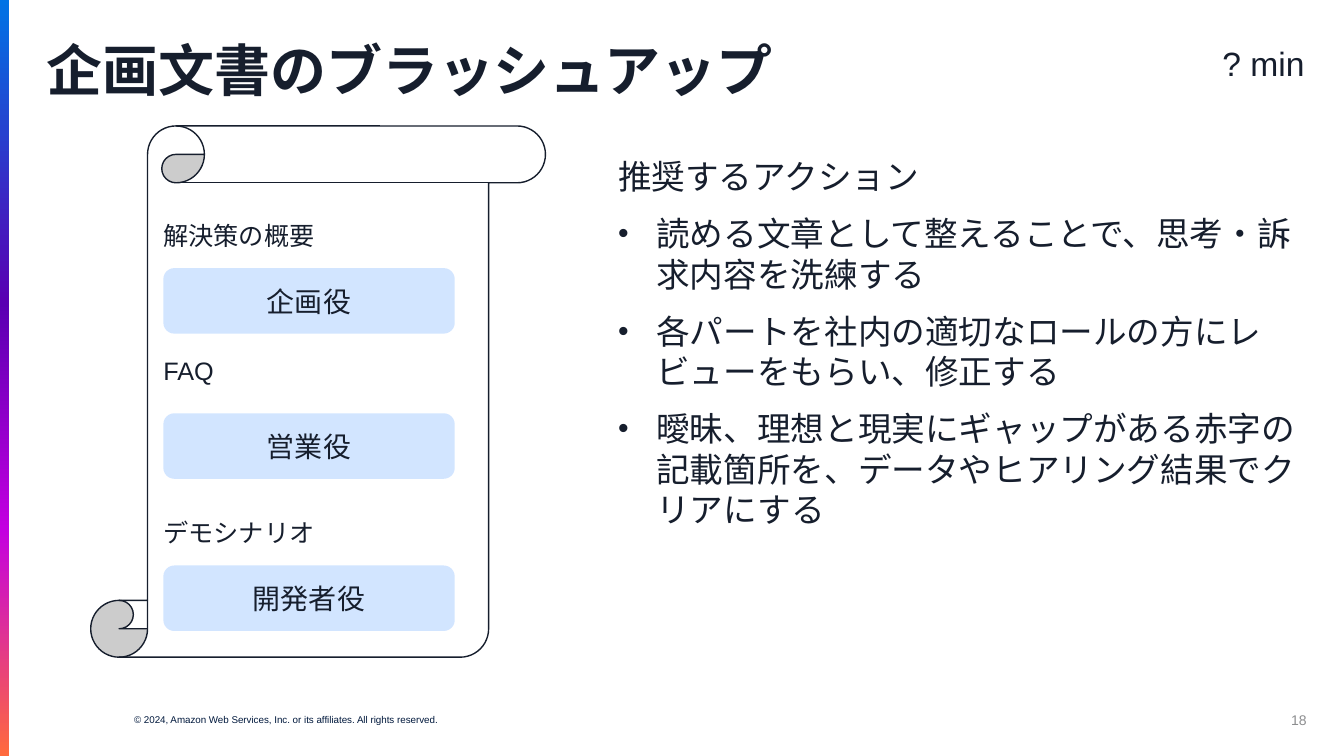
"""Build a slide on polishing a planning document, with a scroll of roles."""
from lxml import etree
from pptx import Presentation
from pptx import util as u
from pptx.dml.color import RGBColor
from pptx.enum import shapes, text
from pptx.oxml import ns

HUES = {"ink": "161E2D", "navy": "00193D", "gray": "8C8D8F",
        "white": "FFFFFF", "pale": "D2E5FF"}
STOPS = {0: "0073E5", 40: "5900B2", 70: "C300E0", 100: "FF6A3D"}
PARTS = [("解決策の概要", 2.14, "企画役", 2.66),
         ("FAQ", 3.48, "営業役", 4.1),
         ("デモシナリオ", 5.08, "開発者役", 5.61)]
ADVICE = ["推奨するアクション",
          "読める文章として整えることで、思考・訴求内容を洗練する",
          "各パートを社内の適切なロールの方にレビューをもらい、修正する",
          "曖昧、理想と現実にギャップがある赤字の記載箇所を、データやヒアリング結果でクリアにする"]
ALIGN, ANCHOR, FIT = text.PP_ALIGN, text.MSO_ANCHOR, text.MSO_AUTO_SIZE
KIND = shapes.MSO_SHAPE


def assign(item, values):
    """Set each attribute of the item from a dict."""
    for name, value in values.items():
        setattr(item, name, value)


def place(shape, box):
    """Move and size a shape in inches."""
    assign(shape, dict(zip(("left", "top", "width", "height"), map(u.Inches, box))))


def tint(name):
    """Give the colour of a named hue."""
    return RGBColor.from_string(HUES[name])


def frame(shape, pad=0.05, side=0, fit=FIT.SHAPE_TO_FIT_TEXT, anchor=ANCHOR.TOP):
    """Format the text frame of a shape."""
    assign(shape.text_frame, {
        "margin_left": u.Inches(side), "margin_right": u.Inches(side),
        "margin_top": u.Inches(pad), "margin_bottom": u.Inches(pad),
        "word_wrap": True, "auto_size": fit, "vertical_anchor": anchor})


def write(para, words, size, hue="ink", bold=False, **layout):
    """Write one run in a paragraph and lay the paragraph out."""
    assign(para, {"alignment": ALIGN.LEFT, "space_before": u.Pt(0), **layout})
    run = para.add_run()
    run.text = words
    assign(run.font, {"name": "Arial", "size": u.Pt(size), "bold": bold})
    run.font.color.rgb = tint(hue)


def label(slide, box, words, size, pad=0.05, hue="ink", align=ALIGN.LEFT, **style):
    """Add a text box with one line."""
    shape = slide.shapes.add_textbox(*map(u.Inches, box))
    frame(shape, pad, **style)
    write(shape.text_frame.paragraphs[0], words, size, hue, alignment=align)


def block(slide, kind, box, hue, edge=None):
    """Add a filled shape, outlined when an edge hue is given."""
    shape = slide.shapes.add_shape(kind, *map(u.Inches, box))
    shape.shadow.inherit = False
    shape.fill.solid()
    shape.fill.fore_color.rgb = tint(hue)
    if edge:
        shape.line.color.rgb = tint(edge)
        shape.line.width = u.Pt(1)
    else:
        shape.line.fill.background()
    return shape


def stripe(slide):
    """Add the gradient band on the left edge."""
    band = block(slide, KIND.RECTANGLE, (0, 0, 0.09, 7.5), "white")
    band.fill.gradient()
    band.fill.gradient_angle = 270
    stops = band.element.spPr.find(".//" + ns.qn("a:gsLst"))
    for stop in list(stops):
        stops.remove(stop)
    for spot, code in STOPS.items():
        stop = etree.SubElement(stops, ns.qn("a:gs"), pos=str(spot * 1000))
        etree.SubElement(stop, ns.qn("a:srgbClr"), val=code)


def bullet(para, shown):
    """Set or clear the bullet and hanging indent of a paragraph."""
    props = para._p.get_or_add_pPr()
    hang = u.Inches(0.38) if shown else 0
    props.set("marL", str(hang))
    props.set("indent", str(-hang))
    if not shown:
        etree.SubElement(props, ns.qn("a:buNone"))
        return
    shade = etree.SubElement(props, ns.qn("a:buClr"))
    etree.SubElement(shade, ns.qn("a:srgbClr"), val=HUES["ink"])
    etree.SubElement(props, ns.qn("a:buSzPct"), val="90000")
    etree.SubElement(props, ns.qn("a:buFont"), typeface="Arial")
    etree.SubElement(props, ns.qn("a:buChar"), char="•")


def advise(body):
    """Fill the body with a lead line and bulleted actions."""
    place(body, (6.13, 1.5, 6.83, 3.84))
    frame(body)
    for rank, words in enumerate(ADVICE):
        part = body.text_frame
        para = part.add_paragraph() if rank else part.paragraphs[0]
        bullet(para, rank > 0)
        write(para, words, 24, space_after=u.Pt(12))


def main():
    """Build and save the slide."""
    deck = Presentation()
    assign(deck, {"slide_width": u.Inches(13.33), "slide_height": u.Inches(7.5)})
    slide = deck.slides.add_slide(deck.slide_layouts[1])
    title, body = slide.placeholders
    place(title, (0.46, 0.38, 12.49, 0.71))
    frame(title, fit=FIT.NONE)
    write(title.text_frame.paragraphs[0], "企画文書のブラッシュアップ", 40,
          bold=True, line_spacing=0.9)
    advise(body)
    stripe(slide)
    label(slide, (1.33, 7.08, 5.34, 0.12),
          "© 2024, Amazon Web Services, Inc. or its affiliates. All rights reserved.",
          7, 0, "navy")
    label(slide, (9.96, 6.94, 3, 0.4), "18", 10, 0, "gray", ALIGN.RIGHT,
          fit=FIT.NONE, anchor=ANCHOR.MIDDLE)
    label(slide, (11.84, 0.38, 1.38, 0.5), "? min", 24, align=ALIGN.CENTER)
    block(slide, KIND.VERTICAL_SCROLL, (0.9, 1.25, 4.51, 5.27), "white", "ink")
    for head, high, role, low in PARTS:
        label(slide, (1.62, high, 2.81, 0.4), head, 18)
        card = block(slide, KIND.ROUNDED_RECTANGLE, (1.62, low, 2.89, 0.65), "pale")
        frame(card, side=0.1, fit=FIT.NONE, anchor=ANCHOR.MIDDLE)
        write(card.text_frame.paragraphs[0], role, 20, alignment=ALIGN.CENTER)


    deck.save("out.pptx")


if __name__ == "__main__":
    main()
